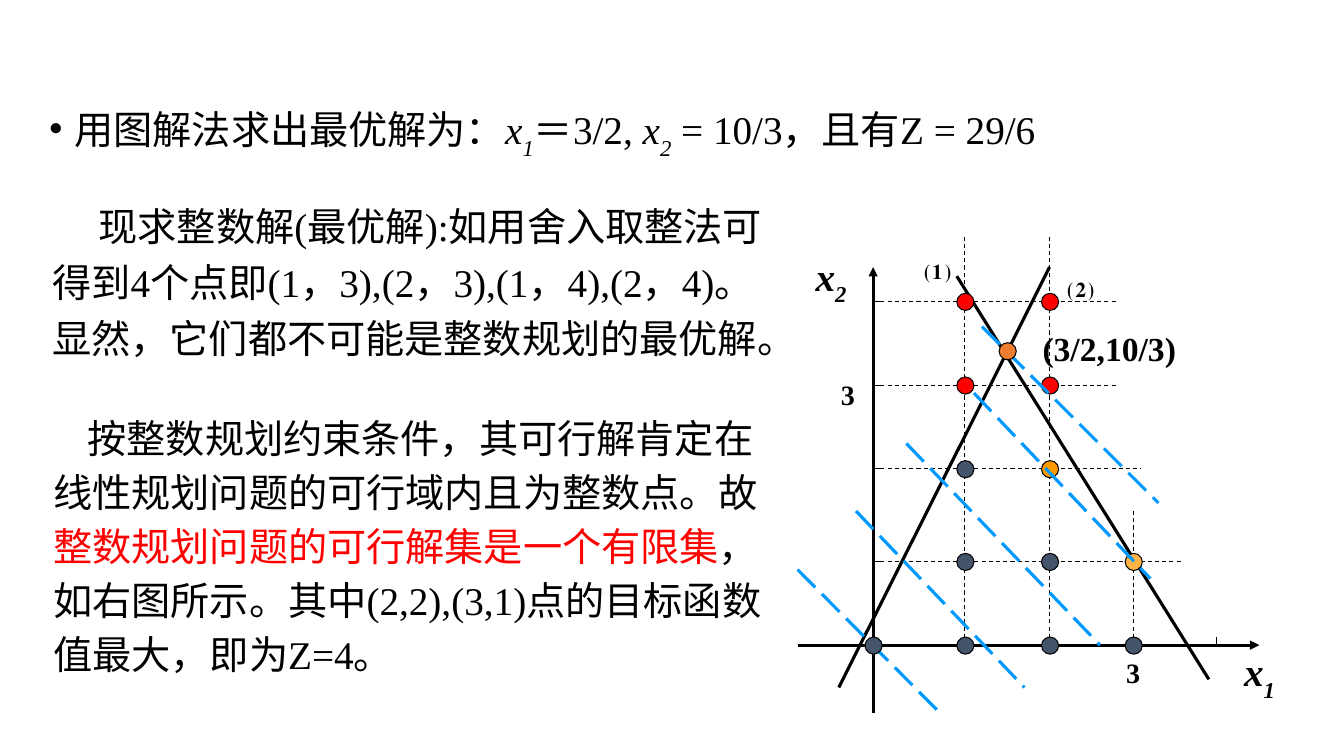
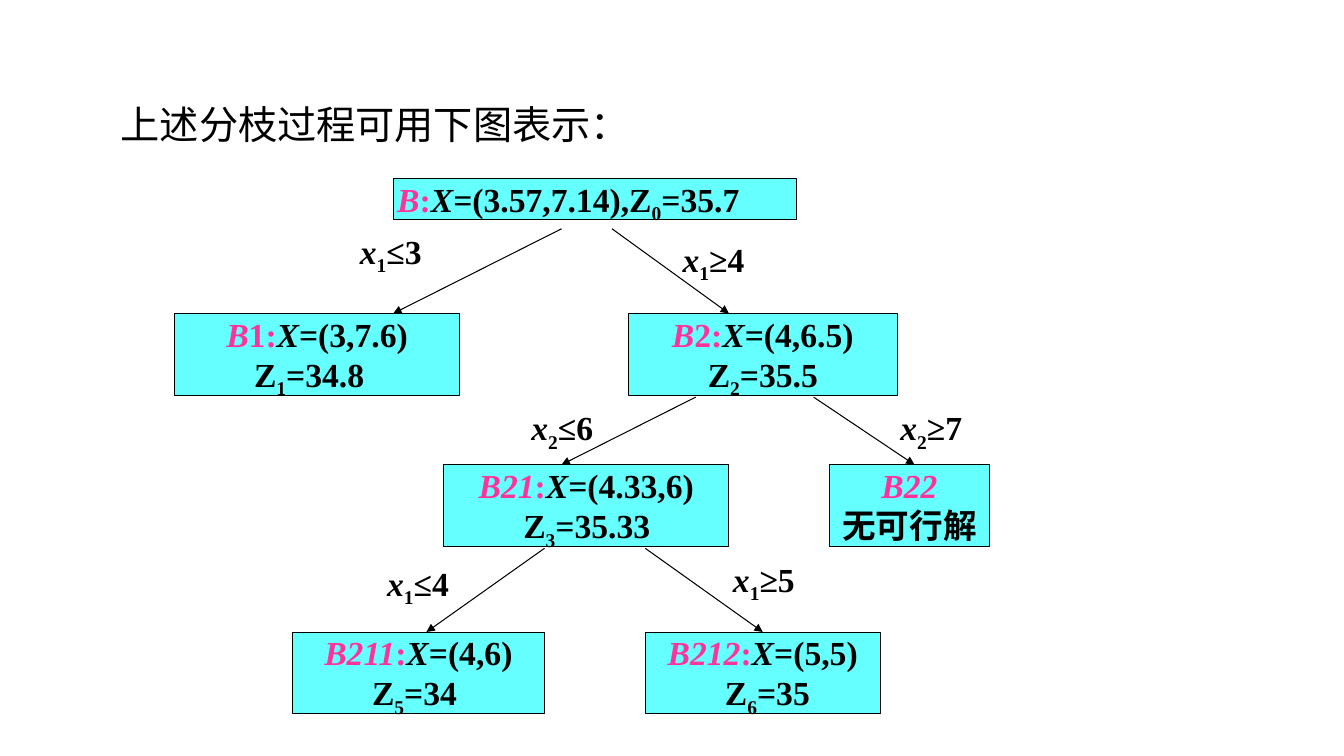
from lxml import etree
from pptx import Presentation
from pptx.dml.color import RGBColor
from pptx.enum.dml import MSO_LINE
from pptx.enum.shapes import MSO_CONNECTOR, MSO_SHAPE
from pptx.enum.text import MSO_ANCHOR, PP_ALIGN
from pptx.oxml.ns import qn
from pptx.util import Emu, Pt

STRAIGHT = MSO_CONNECTOR.STRAIGHT
RECTANGLE, OVAL = MSO_SHAPE.RECTANGLE, MSO_SHAPE.OVAL
DASH, LONG_DASH = MSO_LINE.DASH, MSO_LINE.LONG_DASH
TOP, CENTER, LEFT = MSO_ANCHOR.TOP, PP_ALIGN.CENTER, PP_ALIGN.LEFT

SCALE = 9144
LATIN, EAST_ASIAN = "Times New Roman", "Noto Sans CJK JP"
COLORS = {
    "black": "000000", "red": "FF0000", "pink": "FF3399", "cyan": "66FFFF",
    "blue": "0099FF", "slate": "44546A", "amber": "FFB445",
    "orange": "FF9900", "rust": "ED7D31",
}
BASELINES = {"s": "-30000", "d": "-25000"}

COLUMNS = (75, 166, 250, 333, 416)
ROWS = (408, 325, 233, 150, 67)
ROW_ENDS = (383, 341, 316, 316)
COLUMN_TOPS = (0, 0, 275)
CONSTRAINTS = ((408, 442, 158, 42), (41, 450, 250, 33))
OBJECTIVES = ((175, 158, 350, 342), (183, 92, 358, 267),
              (108, 208, 300, 408), (58, 275, 225, 450))
DOTS = {
    "slate": ((0, 0), (1, 0), (2, 0), (3, 0), (1, 1), (2, 1), (1, 2)),
    "amber": ((3, 1),),
    "orange": ((2, 2),),
    "red": ((1, 3), (2, 3), (1, 4), (2, 4)),
}
GRAPH_LABELS = (
    (443, 405, 28, [("x", "bi"), ("1", "bis")]),
    (18, 13, 28, [("x", "bi"), ("2", "bis")]),
    (126, 13, 20, [("⑴", "b")]),
    (268, 30, 20, [("⑵", "b")]),
    (43, 138, 20, [("3", "b")]),
    (326, 413, 20, [("3", "b")]),
    (243, 88, 24, [("(3/2,10/3)", "b")]),
)

NODES = {
    "B": (217, 0, 400, 41),
    "B1": (0, 134, 283, 81),
    "B2": (450, 134, 267, 81),
    "B21": (267, 284, 283, 81),
    "B22": (650, 284, 158, 81),
    "B211": (117, 450, 250, 81),
    "B212": (467, 450, 233, 81),
}
SOLUTIONS = {
    "B1": ("B", "1:", "=(3,7.6)", "1", "=34.8"),
    "B2": ("B", "2:", "=(4,6.5)", "2", "=35.5"),
    "B21": ("B21", ":", "=(4.33,6)", "3", "=35.33"),
    "B211": ("B211", ":", "=(4,6)", "5", "=34"),
    "B212": ("B212", ":", "=(5,5)", "6", "=35"),
}
BRANCHES = (
    ("B1", (384, 50, 217, 134), (184, 52), "1", "≤3"),
    ("B2", (434, 50, 550, 134), (504, 60), "1", "≥4"),
    ("B21", (517, 217, 384, 284), (354, 227), "2", "≤6"),
    ("B22", (634, 217, 734, 284), (720, 227), "2", "≥7"),
    ("B211", (367, 367, 250, 450), (211, 381), "1", "≤4"),
    ("B212", (467, 367, 584, 450), (554, 377), "1", "≥5"),
)


def px(*lengths):
    """Turn px lengths into EMU."""
    return [Emu(length * SCALE) for length in lengths]


def color(name):
    """Look up a palette colour."""
    return RGBColor.from_string(COLORS[name])


def add_runs(para, runs, size, east_asian=EAST_ASIAN):
    """Add (text, style, colour) runs; style letters: b, i and the subscripts s, d."""
    for text, style, *tint in runs:
        span = para.add_run()
        span.text = text
        span.font.size = Pt(size)
        span.font.name = LATIN
        span.font.bold = "b" in style
        span.font.italic = "i" in style
        span.font.color.rgb = color(tint[0] if tint else "black")
        properties = span._r.get_or_add_rPr()
        etree.SubElement(properties, qn("a:ea")).set("typeface", east_asian)
        for letter, baseline in BASELINES.items():
            if letter in style:
                properties.set("baseline", baseline)


def set_frame(shape, side, edge):
    """Give a text frame its insets, wrapping and top anchor."""
    frame = shape.text_frame
    frame.word_wrap = True
    frame.vertical_anchor = TOP
    frame.margin_left, frame.margin_right = px(side, side)
    frame.margin_top, frame.margin_bottom = px(edge, edge)
    return frame


def set_indent(para, first, margin=0):
    """Set the first-line indent and left margin of a paragraph."""
    properties = para._p.get_or_add_pPr()
    properties.set("marL", str(margin * SCALE))
    properties.set("indent", str(first * SCALE))
    return properties


def add_text(page, box, runs, spacing=1.0, indent=0):
    """Add a body text box with one paragraph."""
    frame = set_frame(page.shapes.add_textbox(*px(*box)), 10, 5)
    para = frame.paragraphs[0]
    para.line_spacing = spacing
    set_indent(para, indent)
    add_runs(para, runs, 28)
    return para


def add_label(page, left, top, size, runs):
    """Add a short label whose text starts at the given point."""
    box = page.shapes.add_textbox(*px(left, top, 160, 40))
    add_runs(set_frame(box, 0, 0).paragraphs[0], runs, size, LATIN)


def add_line(page, origin, ends, tint="black", width=0.75, dash=None, arrow=False):
    """Add a straight line between two points given relative to an origin."""
    left, top = origin
    x1, y1, x2, y2 = ends
    line = page.shapes.add_connector(
        STRAIGHT, *px(left + x1, top + y1, left + x2, top + y2))
    line.line.color.rgb = color(tint)
    line.line.width = Pt(width)
    if dash:
        line.line.dash_style = dash
    if arrow:
        etree.SubElement(line.line._get_or_add_ln(), qn("a:tailEnd")).set("type", "triangle")
    etree.SubElement(line._element.spPr, qn("a:effectLst"))
    return line


def add_filled(page, kind, box, tint):
    """Add a filled shape with a thin black outline."""
    shape = page.shapes.add_shape(kind, *px(*box))
    shape.shadow.inherit = False
    shape.fill.solid()
    shape.fill.fore_color.rgb = color(tint)
    shape.line.color.rgb = color("black")
    shape.line.width = Pt(0.75)
    return shape


def add_graph(page, left, top):
    """Draw the feasible region with its integer points and objective lines."""
    origin = (left, top)
    axis_x, axis_y = COLUMNS[0], ROWS[0]

    def add_dot(x, y, tint):
        """Draw a point centred on its coordinates."""
        add_filled(page, OVAL, (left + x - 8, top + y - 8, 17, 17), tint)

    add_line(page, origin, (axis_x, 475, axis_x, 33), width=2.25, arrow=True)
    add_line(page, origin, (0, axis_y, 458, axis_y), width=2.25, arrow=True)
    for y, end in zip(ROWS[1:], ROW_ENDS):
        add_line(page, origin, (axis_x, y, axis_x + 8, y))
        add_line(page, origin, (axis_x, y, end, y), dash=DASH)
    for x in COLUMNS[1:]:
        add_line(page, origin, (x, axis_y, x, axis_y - 8))
    for x, end in zip(COLUMNS[1:], COLUMN_TOPS):
        add_line(page, origin, (x, axis_y, x, end), dash=DASH)
    for ends in CONSTRAINTS:
        add_line(page, origin, ends, width=2.25)
    for x, y, size, runs in GRAPH_LABELS:
        add_label(page, left + x, top + y + 5, size, runs)
    add_line(page, origin, (0, 333, 141, 475), "blue", 2.25, LONG_DASH)
    for tint, places in DOTS.items():
        for column, row in places:
            add_dot(COLUMNS[column], ROWS[row], tint)
    for ends in OBJECTIVES:
        add_line(page, origin, ends, "blue", 2.25, LONG_DASH)
    add_dot(208, 116, "rust")


def node_lines(name):
    """Return the lines of runs, with alignment and indent, for a tree node."""
    if name == "B":
        return [(LEFT, 0, [("B", "bi", "pink"), (":", "b", "pink"), ("X", "bi"),
                           ("=(3.57,7.14),Z", "b"), ("0", "bd"), ("=35.7", "b")])]
    if name == "B22":
        return [(CENTER, 0, [("B22", "bi", "pink")]),
                (CENTER, 0, [("无可行解", "b")])]
    slanted, upright, point, index, value = SOLUTIONS[name]
    return [(CENTER, 0, [(slanted, "bi", "pink"), (upright, "b", "pink"),
                         ("X", "bi"), (point, "b")]),
            (LEFT, 75, [("Z", "b"), (index, "bd"), (value, "b")])]


def add_node(page, box, lines):
    """Draw one subproblem of the tree."""
    node = add_filled(page, RECTANGLE, box, "cyan")
    frame = set_frame(node, 4, 0)
    for number, (alignment, indent, runs) in enumerate(lines):
        para = frame.add_paragraph() if number else frame.paragraphs[0]
        para.alignment = alignment
        set_indent(para, indent)
        add_runs(para, runs, 24)
    return node


def add_tree(page, left, top):
    """Draw the branching tree with its conditions."""
    nodes = {name: add_node(page, (left + x, top + y, width, height), node_lines(name))
             for name, (x, y, width, height) in NODES.items()}
    for name, ends, (x, y), index, bound in BRANCHES:
        arrow = add_line(page, (left, top), ends, arrow=True)
        node_left, _, node_width, _ = NODES[name]
        if abs(node_left + node_width / 2 - ends[2]) <= 1:
            arrow.end_connect(nodes[name], 0)
        add_label(page, left + x, top + y, 24,
                  [("x", "bi"), (index, "bd"), (bound, "b")])


def add_graph_slide(page):
    """Build the slide on the graphical solution."""
    title = add_text(page, (39, 100, 1129, 63), [
        ("用图解法求出最优解为：", ""), ("x", "i"), ("1", "is"), ("＝3/2, ", ""),
        ("x", "i"), ("2", "is"), (" = 10/3，且有Z = 29/6", "")])
    bullet = etree.SubElement(set_indent(title, -25, 25), qn("a:buChar"))
    bullet.set("char", "•")
    add_text(page, (42, 186, 729, 176), [
        ("现求整数解(最优解):如用舍入取整法可得到4个点即(1，3),(2，3),(1，4),(2，4)。"
         "显然，它们都不可能是整数规划的最优解。", "")], 1.2, 46)
    add_graph(page, 791, 232)
    add_text(page, (43, 399, 729, 278), [
        ("按整数规划约束条件，其可行解肯定在线性规划问题的可行域内且为整数点。故", ""),
        ("整数规划问题的可行解集是一个有限集", "", "red"),
        ("，如右图所示。其中(2,2),(3,1)点的目标函数值最大，即为Z=4。", "")], 1.15, 34)


def add_tree_slide(page):
    """Build the slide on the branching process."""
    add_text(page, (110, 100, 530, 55), [("上述分枝过程可用下图表示：", "")], 0.9)
    add_tree(page, 173, 177)


def main():
    """Build and save the deck."""
    deck = Presentation()
    deck.slide_width, deck.slide_height = px(1333, 750)
    for build in (add_graph_slide, add_tree_slide):
        build(deck.slides.add_slide(deck.slide_layouts[6]))
    deck.save("out.pptx")


if __name__ == "__main__":
    main()
